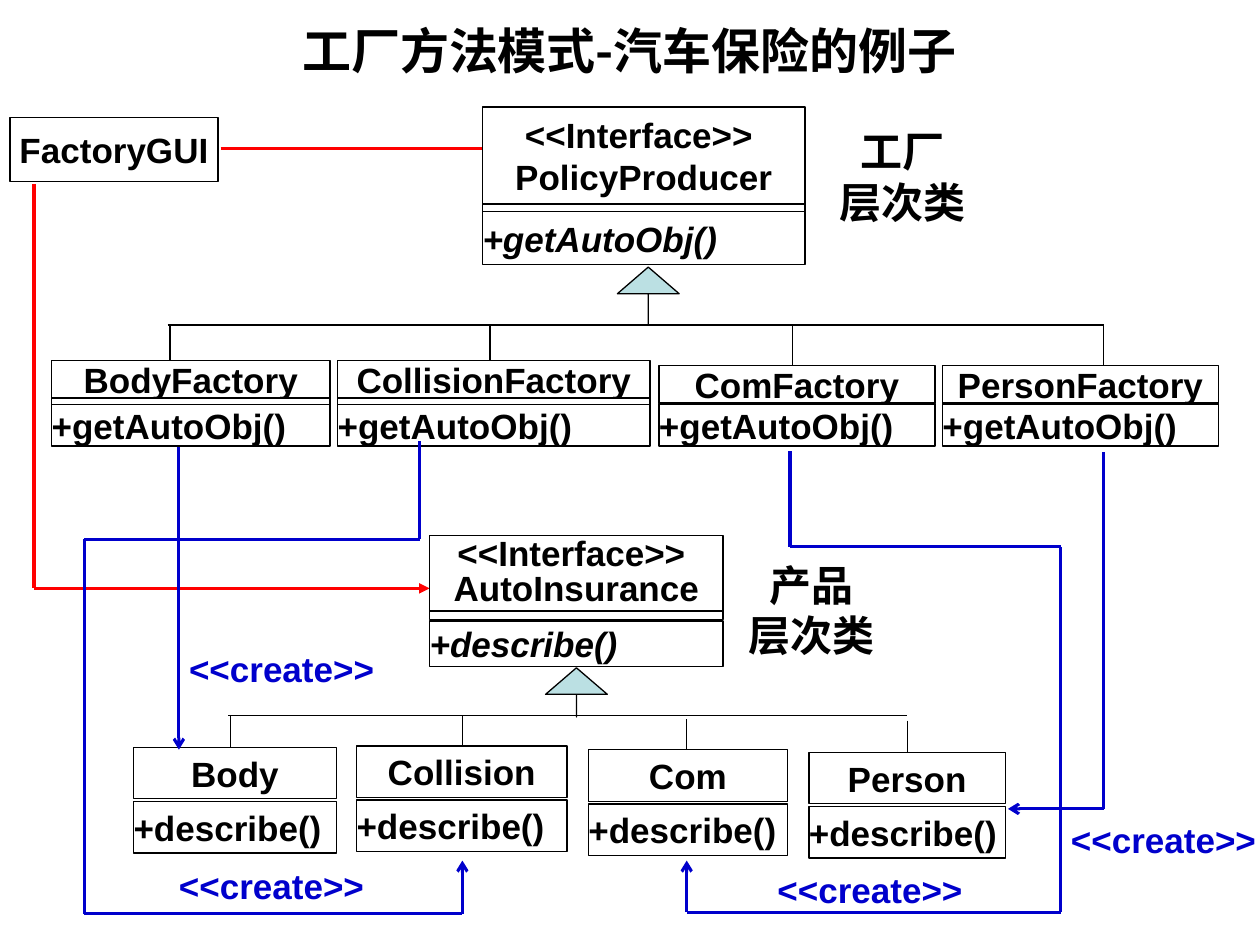
from dataclasses import dataclass
from itertools import pairwise

import pptx
import pptx.dml.color
import pptx.enum.shapes
import pptx.enum.text
import pptx.util
from pptx.oxml.ns import qn

SHAPE = pptx.enum.shapes.MSO_SHAPE
ALIGN = pptx.enum.text.PP_ALIGN
ANCHOR = pptx.enum.text.MSO_ANCHOR
LATIN, CHINESE = "Arial", "Noto Sans CJK SC"
BLACK, WHITE, RED, BLUE, TEAL = "000000", "FFFFFF", "FF0000", "0000CC", "BBE0E3"

deck = pptx.Presentation()
deck.slide_width, deck.slide_height = pptx.util.Inches(10), pptx.util.Inches(7.5)
slide = deck.slides.add_slide(deck.slide_layouts[5])

# Grid of 100 columns by 75 rows
COLUMN, ROW = deck.slide_width / 100, deck.slide_height / 75
Point = tuple[float, float]


@dataclass
class UmlClass:
    name: list[str]
    operation: str
    left: float
    top: float
    width: float
    head: float             # height of the name compartment
    operation_top: float    # offset from the top of the class
    operation_height: float
    gap: float = 0          # height of the empty compartment
    abstract: bool = False
    spacing: float = 1
    stem: float = 0         # column of the inheritance line
    stem_drop: float = 0    # rows between the branch and the stem


def place(left: float, top: float, width: float, height: float) -> list[int]:
    return [round(left * COLUMN), round(top * ROW), round(width * COLUMN), round(height * ROW)]


def colour(value: str) -> pptx.dml.color.RGBColor:
    return pptx.dml.color.RGBColor.from_string(value)


def write(frame, lines: list[str], *, size: float = 20, font: str = LATIN, ink: str = BLACK,
          italic: bool = False, align=ALIGN.CENTER, anchor=ANCHOR.MIDDLE,
          spacing: float = 1, wrap: bool = True) -> None:
    frame.word_wrap = wrap
    frame.auto_size = pptx.enum.text.MSO_AUTO_SIZE.NONE
    frame.vertical_anchor = anchor
    frame.margin_left = frame.margin_right = frame.margin_top = frame.margin_bottom = 0
    for index, line in enumerate(lines):
        paragraph = frame.paragraphs[0] if index == 0 else frame.add_paragraph()
        paragraph.alignment, paragraph.line_spacing = align, spacing
        run = paragraph.add_run()
        run.text = line
        run.font.size, run.font.bold, run.font.italic = pptx.util.Pt(size), True, italic
        run.font.color.rgb = colour(ink)
        run.font.name = font
        east_asian = run.font._element.makeelement(qn("a:ea"), {"typeface": font})
        run.font._element.append(east_asian)


def draw_shape(kind, box: list[int], fill: str = WHITE, line: str | None = BLACK):
    shape = slide.shapes.add_shape(kind, *box)
    shape.shadow.inherit = False
    shape.fill.solid()
    shape.fill.fore_color.rgb = colour(fill)
    if line:
        shape.line.color.rgb, shape.line.width = colour(line), pptx.util.Pt(0.75)
    else:
        shape.line.fill.background()
    return shape


def draw_path(points: list[Point], ink: str = BLACK, width: float = 0.75,
              head: str | None = None) -> None:
    """Joins the points with straight lines; the last one may carry an arrowhead."""
    for (x1, y1), (x2, y2) in pairwise(points):
        line = slide.shapes.add_connector(
            pptx.enum.shapes.MSO_CONNECTOR.STRAIGHT,
            *(round(v) for v in (x1 * COLUMN, y1 * ROW, x2 * COLUMN, y2 * ROW)))
        line.line.color.rgb, line.line.width = colour(ink), pptx.util.Pt(width)
        properties = line._element.spPr
        properties.append(properties.makeelement(qn("a:effectLst"), {}))
    if head:
        outline = line.line._get_or_add_ln()
        outline.append(outline.makeelement(qn("a:tailEnd"), {"type": head}))


def draw_class(item: UmlClass) -> None:
    name = draw_shape(SHAPE.RECTANGLE, place(item.left, item.top, item.width, item.head))
    write(name.text_frame, item.name, spacing=item.spacing)
    if item.gap:
        draw_shape(SHAPE.RECTANGLE,
                   place(item.left, item.top + item.head, item.width, item.gap))
    operation = draw_shape(SHAPE.RECTANGLE, place(
        item.left, item.top + item.operation_top, item.width, item.operation_height))
    write(operation.text_frame, [item.operation], italic=item.abstract, align=ALIGN.JUSTIFY)


def draw_tree(parent: UmlClass, children: list[UmlClass], branch: float,
              ends: Point, arrow: list[int], head_share: float) -> None:
    draw_path([(ends[0], branch), (ends[1], branch)])
    for child in children:
        draw_path([(child.stem, branch + child.stem_drop), (child.stem, child.top)])
    triangle = draw_shape(SHAPE.UP_ARROW, arrow, TEAL)
    triangle.adjustments[0], triangle.adjustments[1] = 0, head_share
    for item in [parent, *children]:
        draw_class(item)


# Title
title = slide.shapes.title
title.left, title.top, title.width, title.height = place(9, 1.1, 81.9, 5.7)
write(title.text_frame, ["工厂方法模式-汽车保险的例子"], size=28, font=CHINESE)

# Client and its associations
client = draw_shape(SHAPE.RECTANGLE, place(0.8, 9.3, 16.5, 5.1))
write(client.text_frame, ["FactoryGUI"])
draw_path([(17.5, 11.8), (41, 11.8)], RED, 2, "triangle")
draw_path([(2.7, 14.6), (2.7, 46.7), (34.1, 46.7)], RED, 2, "triangle")

# Factory hierarchy
producer = UmlClass(["<<Interface>> ", "PolicyProducer"], "+getAutoObj()", 38.3, 8.5, 25.6,
                    7.7, 8.3, 4.2, gap=0.6, abstract=True)
factories = [
    UmlClass([name], "+getAutoObj()", left, top, width, 3, 32.1 - top, 3.3, gap=gap, stem=stem)
    for name, left, top, width, gap, stem in [
        ("BodyFactory", 4.1, 28.6, 22.1, 1, 13.5),
        ("CollisionFactory", 26.8, 28.6, 24.8, 1, 38.9),
        ("ComFactory", 52.3, 29, 21.9, 0.6, 62.9),
        ("PersonFactory", 74.8, 29, 21.9, 0.6, 87.6),
    ]
]
draw_tree(producer, factories, 25.8, (13.3, 87.6), place(49, 21.2, 4.9, 4.6), 0.46)

# Product hierarchy
insurance = UmlClass(["<<Interface>> ", "AutoInsurance"], "+describe()", 34.1, 42.5, 23.3,
                     6, 6.8, 3.6, gap=0.7, abstract=True, spacing=0.85)
products = [
    UmlClass([name], "+describe()", left, top, width, 4.1, 4.3, 4.1, stem=stem, stem_drop=drop)
    for name, left, top, width, stem, drop in [
        ("Body", 10.6, 59.3, 16.1, 18.3, 0),
        ("Collision", 28.3, 59.2, 16.7, 36.7, 0),
        ("Com", 46.7, 59.5, 15.8, 54.5, 0.3),
        ("Person", 64.2, 59.7, 15.6, 72, 0.4),
    ]
]
draw_tree(insurance, products, 56.8, (18.1, 72), place(43.3, 53, 4.9, 3.9), 0.54)

# Creation arrows from each factory to its product
for route in [
    [(14.2, 35.5), (14.2, 59.5)],
    [(33.3, 35), (33.3, 42.8), (6.7, 42.8), (6.7, 72.5), (36.7, 72.5), (36.7, 68.3)],
    [(62.7, 35.8), (62.7, 43.4), (84.2, 43.4), (84.2, 72.4), (54.5, 72.4), (54.5, 68.3)],
    [(87.6, 35.9), (87.6, 64.2), (80, 64.2)],
]:
    draw_path(route, BLUE, 1.75, "arrow")

for left, top, width in [(14.2, 68.6, 15.8), (15, 51.4, 15.8), (61.7, 68.9, 15.8), (85, 65, 15)]:
    label = draw_shape(SHAPE.RECTANGLE, place(left, top, width, 3.3), line=None)
    write(label.text_frame, ["<<create>>"], ink=BLUE, align=ALIGN.LEFT,
          anchor=ANCHOR.TOP, wrap=False)

# Hierarchy captions
for kind, left, top, width in [("工厂", 65, 10, 13.3), ("产品", 59.2, 44.4, 10.4)]:
    caption = slide.shapes.add_textbox(*place(left, top, width, 8))
    write(caption.text_frame, [kind, "层次类"], size=24, font=CHINESE, anchor=ANCHOR.TOP)

deck.save("out.pptx")
